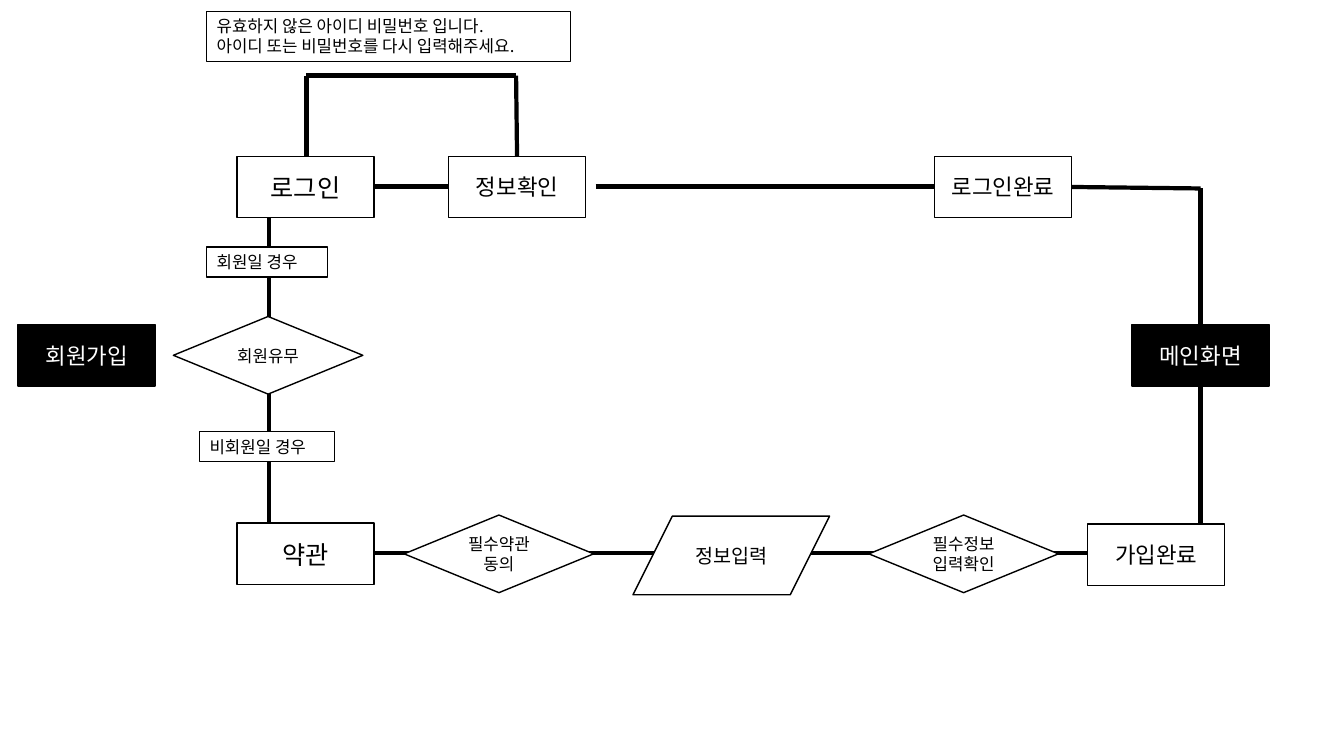
"""Flow chart of login and sign-up."""
from lxml import etree
from pptx import Presentation, util as u
from pptx.dml import color
from pptx.enum import shapes, text
from pptx.oxml import ns

FONT = "Noto Sans CJK KR"
BLACK, WHITE = "000000", "FFFFFF"
COLUMNS, ROWS = 133.33, 75          # grid cells across and down the slide
NODE = (13.6, 6.1)                  # sizes in grid cells
DIAMOND = (18.8, 7.7)
KIND = shapes.MSO_SHAPE

presentation = Presentation()
presentation.slide_width, presentation.slide_height = u.Inches(13.33), u.Inches(7.5)
slide = presentation.slides.add_slide(presentation.slide_layouts[6])


def rgb(value):
    """Turn a hex string into a colour."""
    return color.RGBColor.from_string(value)


def across(columns):
    """Convert grid columns to a length."""
    return round(presentation.slide_width * columns / COLUMNS)


def down(rows):
    """Convert grid rows to a length."""
    return round(presentation.slide_height * rows / ROWS)


def write(shape, content, size=12, ink=BLACK, align=text.PP_ALIGN.CENTER,
          anchor=text.MSO_ANCHOR.MIDDLE, wrap=True):
    """Put text in a shape, one paragraph a line."""
    frame = shape.text_frame
    frame.text = content
    frame.word_wrap = wrap
    frame.vertical_anchor = anchor
    for paragraph in frame.paragraphs:
        paragraph.alignment = align
        paragraph.line_spacing = u.Pt(size * 1.2)
        font = paragraph.runs[0].font
        font.name, font.size = FONT, u.Pt(size)
        font.color.rgb = rgb(ink)
        east_asian = etree.SubElement(paragraph.runs[0]._r.rPr, ns.qn("a:ea"))
        east_asian.set("typeface", FONT)


def node(origin, left, top, content, size=16, kind=KIND.RECTANGLE, extent=NODE,
         fill=WHITE, border=1, **style):
    """Draw one outlined step, placed from the region's origin."""
    shape = slide.shapes.add_shape(
        kind, across(origin[0] + left), down(origin[1] + top),
        across(extent[0]), down(extent[1]))
    shape.shadow.inherit = False
    shape.fill.solid()
    shape.fill.fore_color.rgb = rgb(fill)
    shape.line.color.rgb = rgb(BLACK)
    shape.line.width = u.Pt(border)
    write(shape, content, size, **style)


def label(origin, left, top, content, extent, border=1):
    """Draw a small boxed note with text at its left."""
    node(origin, left, top, content, 12, extent=extent, border=border,
         align=text.PP_ALIGN.LEFT, anchor=text.MSO_ANCHOR.TOP, wrap=False)


def route(origin, *points):
    """Join points with thick straight connectors."""
    for (x1, y1), (x2, y2) in zip(points, points[1:]):
        line = slide.shapes.add_connector(
            shapes.MSO_CONNECTOR.STRAIGHT,
            across(origin[0] + x1), down(origin[1] + y1),
            across(origin[0] + x2), down(origin[1] + y2))
        line.line.color.rgb = rgb(BLACK)
        line.line.width = u.Pt(3)
        etree.SubElement(line._element.spPr, ns.qn("a:effectLst"))


def membership(origin):
    """Draw the membership check between login and terms."""
    route(origin, (24.9, 0), (24.9, 38.7))
    node(origin, 0, 13.9, "회원가입", fill=BLACK, ink=WHITE)
    node(origin, 15.4, 13.1, "회원유무", 12, KIND.DIAMOND, DIAMOND)
    label(origin, 18.7, 6.2, "회원일 경우", (12, 3))
    label(origin, 18, 24.5, "비회원일 경우", (13.4, 3))


def main_screen(origin):
    """Draw the main screen between login and sign-up."""
    route(origin, (6.8, 0), (6.8, 33.3))
    node(origin, 0, 13.5, "메인화면", fill=BLACK, ink=WHITE)


def sign_up(origin):
    """Draw the row from terms to finished sign-up."""
    route(origin, (13.7, 3.8), (84.4, 3.8))
    node(origin, 0, 0.8, "약관", 18)
    for left, content in ((16.6, "필수약관\n동의"), (62.7, "필수정보\n입력확인")):
        node(origin, left, 0, content, 12, KIND.DIAMOND, DIAMOND)
    node(origin, 39.3, 0.1, "정보입력", 14, KIND.FLOWCHART_DATA, (19.5, 7.8))
    node(origin, 84.4, 0.9, "가입완료")


def login(origin):
    """Draw the login row with its retry loop and error message."""
    route(origin, (9.9, 14.4), (9.9, 6.4), (30.7, 6.4), (30.8, 14.9))
    route(origin, (16.7, 17.4), (24, 17.4))
    route(origin, (38.6, 17.4), (81.7, 17.4), (98.6, 17.6))
    label(origin, 0, 0, "유효하지 않은 아이디 비밀번호 입니다.\n"
          "아이디 또는 비밀번호를 다시 입력해주세요.", (36.1, 5), border=0.75)
    for left, content, size in ((3, "로그인", 18), (24, "정보확인", 16),
                                (72.2, "로그인완료", 16)):
        node(origin, left, 14.4, content, size)


membership((1.8, 18.3))
main_screen((112.3, 18.7))
sign_up((23.5, 51.1))
login((20.5, 1.1))
presentation.save("out.pptx")
